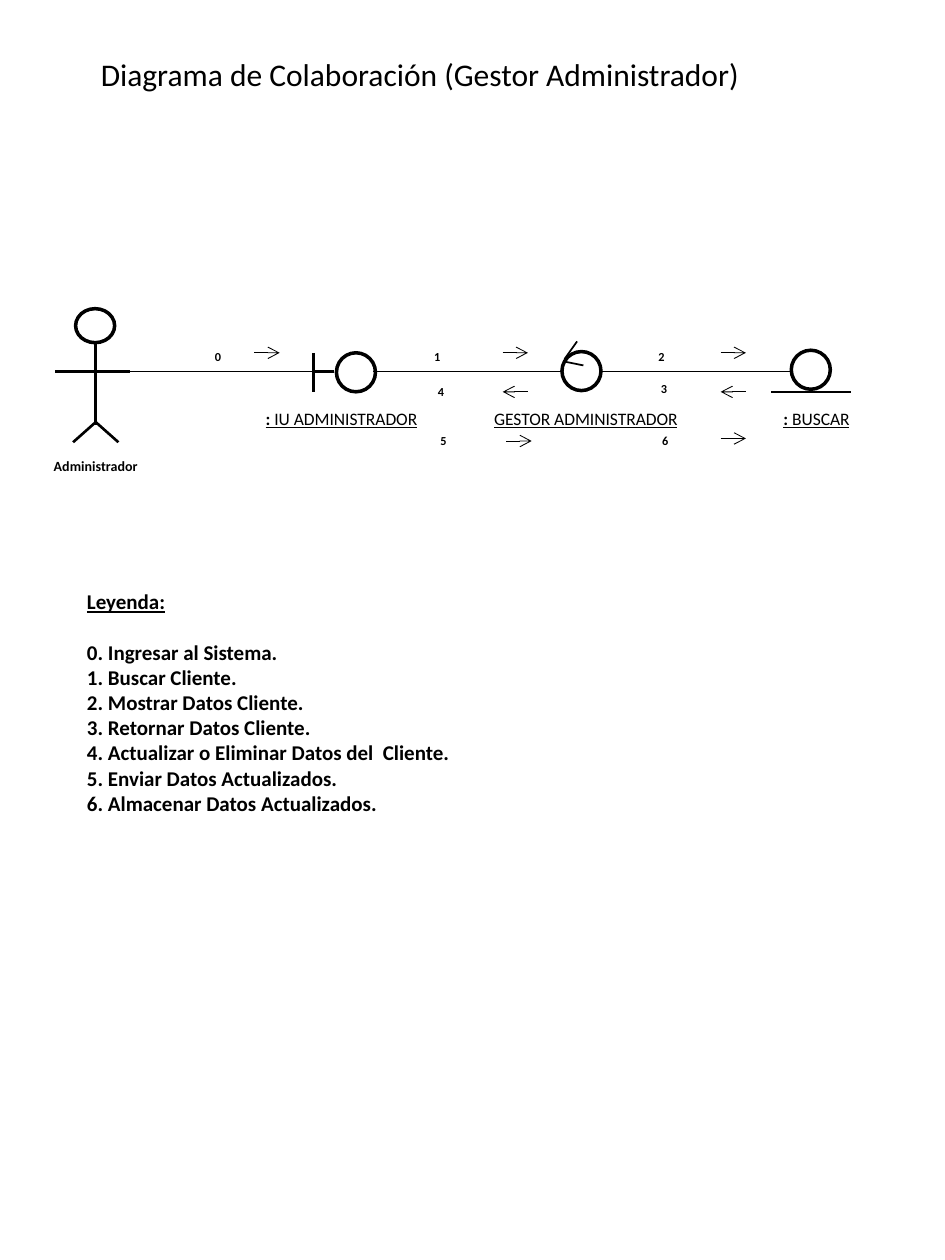
from pptx import Presentation
from pptx import util as u
from pptx.dml.color import RGBColor
from pptx.enum import shapes, text
from pptx.oxml.ns import qn
from lxml import etree

BLACK = RGBColor(0, 0, 0)
WHITE = RGBColor(255, 255, 255)
FONT = "Calibri"
WIDE, HIGH = 7.5, 10
AXIS = 0.295 * HIGH   # height of the line that joins all parts
RING = 0.31           # diameter of each symbol
STEP = 0.2            # length of a message arrow

LEGEND = [
    "Ingresar al Sistema.",
    "Buscar Cliente.",
    "Mostrar Datos Cliente.",
    "Retornar Datos Cliente.",
    "Actualizar o Eliminar Datos del  Cliente.",
    "Enviar Datos Actualizados.",
    "Almacenar Datos Actualizados.",
]
# Number centre x, number top, arrow left, arrow y, direction
CALLS = [
    (1.73, 2.72, 2.02, 2.8, 1),
    (3.47, 2.72, 3.99, 2.8, 1),
    (5.25, 2.72, 5.72, 2.8, 1),
    (5.27, 2.98, 5.72, 3.11, -1),
    (3.5, 3, 3.99, 3.11, -1),
    (3.52, 3.39, 4.02, 3.5, 1),
    (5.28, 3.39, 5.72, 3.48, 1),
]
# Bold lead, name, centre x
NAMES = [(": ", "IU ADMINISTRADOR", 2.71),
         ("", "GESTOR ADMINISTRADOR", 4.65),
         (":", " BUSCAR", 6.48)]


def write(par, words, size=10, bold=False, under=False, align=None):
    run = par.add_run()
    run.text = words
    font = run.font
    font.name, font.size = FONT, u.Pt(size)
    font.bold, font.underline = bold, under
    font.color.rgb = BLACK
    if align is not None:
        par.alignment = align


def place(item, left, top, wide, high):
    item.left, item.top = u.Inches(left), u.Inches(top)
    item.width, item.height = u.Inches(wide), u.Inches(high)


def label(tree, mid, top, wide, high):
    """Add a centred text box and return its paragraph."""
    box = tree.add_textbox(u.Inches(mid - wide / 2), u.Inches(top),
                           u.Inches(wide), u.Inches(high))
    box.text_frame.word_wrap = True
    par = box.text_frame.paragraphs[0]
    par.alignment = text.PP_ALIGN.CENTER
    return par


def line(tree, x1, y1, x2, y2, width=1.5, arrow=False):
    link = tree.add_connector(shapes.MSO_CONNECTOR.STRAIGHT,
                              *map(u.Inches, (x1, y1, x2, y2)))
    link.line.color.rgb = BLACK
    link.line.width = u.Pt(width)
    if arrow:
        etree.SubElement(link.line._get_or_add_ln(), qn("a:tailEnd"),
                         type="arrow")
    etree.SubElement(link._element.spPr, qn("a:effectLst"))


def ring(tree, left, top, high=RING):
    disc = tree.add_shape(shapes.MSO_SHAPE.OVAL, u.Inches(left),
                          u.Inches(top), u.Inches(RING), u.Inches(high))
    disc.shadow.inherit = False
    disc.fill.solid()
    disc.fill.fore_color.rgb = WHITE
    disc.line.color.rgb = BLACK
    disc.line.width = u.Pt(2)


def actor(tree):
    mid, hip = 0.76, 3.35
    ring(tree, 0.6, 2.45, 0.27)
    line(tree, mid, 2.72, mid, hip + 0.02)
    for side in (-1, 1):
        line(tree, mid, hip, mid + side * 0.18, hip + 0.16)
    line(tree, 0.44, AXIS, 1.03, AXIS)
    write(label(tree, mid, 3.58, 1.51, 0.24), "Administrador", 8, True)


def symbols(tree):
    # Boundary
    part = tree.add_group_shape().shapes
    line(part, 2.49, 2.8, 2.49, 3.11, 2)
    line(part, 2.49, AXIS, 2.65, AXIS, 2)
    ring(part, 2.67, 2.8)
    # Control
    part = tree.add_group_shape().shapes
    ring(part, 4.46, 2.79)
    line(part, 4.48, 2.87, 4.63, 2.9, 1)
    line(part, 4.48, 2.85, 4.58, 2.71, 1)
    # Entity
    part = tree.add_group_shape().shapes
    ring(part, 6.28, 2.78)
    line(part, 6.12, 3.11, 6.75, 3.11, 1)
    # Names
    for lead, name, mid in NAMES:
        par = label(tree, mid, 3.19, 1.81, 0.27)
        if lead:
            write(par, lead, bold=True, under=True)
        write(par, name, under=True)


def calls(tree):
    for num, (mid, top, left, y, way) in enumerate(CALLS):
        write(label(tree, mid, top, 0.5, 0.22), str(num), 7, True)
        ends = (left, left + STEP)[::way]
        line(tree, ends[0], y, ends[1], y, 0.5, arrow=True)


def title(item):
    place(item, 0.7, 0.39, 5.78, 0.7)
    item.text_frame.vertical_anchor = text.MSO_ANCHOR.TOP
    write(item.text_frame.paragraphs[0],
          "Diagrama de Colaboración (Gestor Administrador)", 18,
          align=text.PP_ALIGN.LEFT)


def legend(item):
    place(item, 0.59, 4.62, 3.16, 2.2)
    frame = item.text_frame
    rows = ["Leyenda:"] + [f"{n}. {row}" for n, row in enumerate(LEGEND)]
    for n, row in enumerate(rows):
        par = frame.add_paragraph() if n else frame.paragraphs[0]
        par.space_before = u.Pt(0)
        par.space_after = u.Pt(0 if n else 14.6)
        props = par._p.get_or_add_pPr()
        props.set("marL", "0")
        props.set("indent", "0")
        etree.SubElement(props, qn("a:buNone"))
        write(par, row, 12, True, under=n == 0)


def main():
    deck = Presentation()
    deck.slide_width, deck.slide_height = u.Inches(WIDE), u.Inches(HIGH)
    slide = deck.slides.add_slide(deck.slide_layouts[1])
    tree = slide.shapes
    title(tree.title)
    legend(slide.placeholders[1])
    actor(tree)
    symbols(tree)
    calls(tree)
    # Links between neighbours
    for left in (0.99, 2.96, 4.77):
        line(tree, left, AXIS, left + 1.5, AXIS, 0.75)
    deck.save("out.pptx")


if __name__ == "__main__":
    main()
